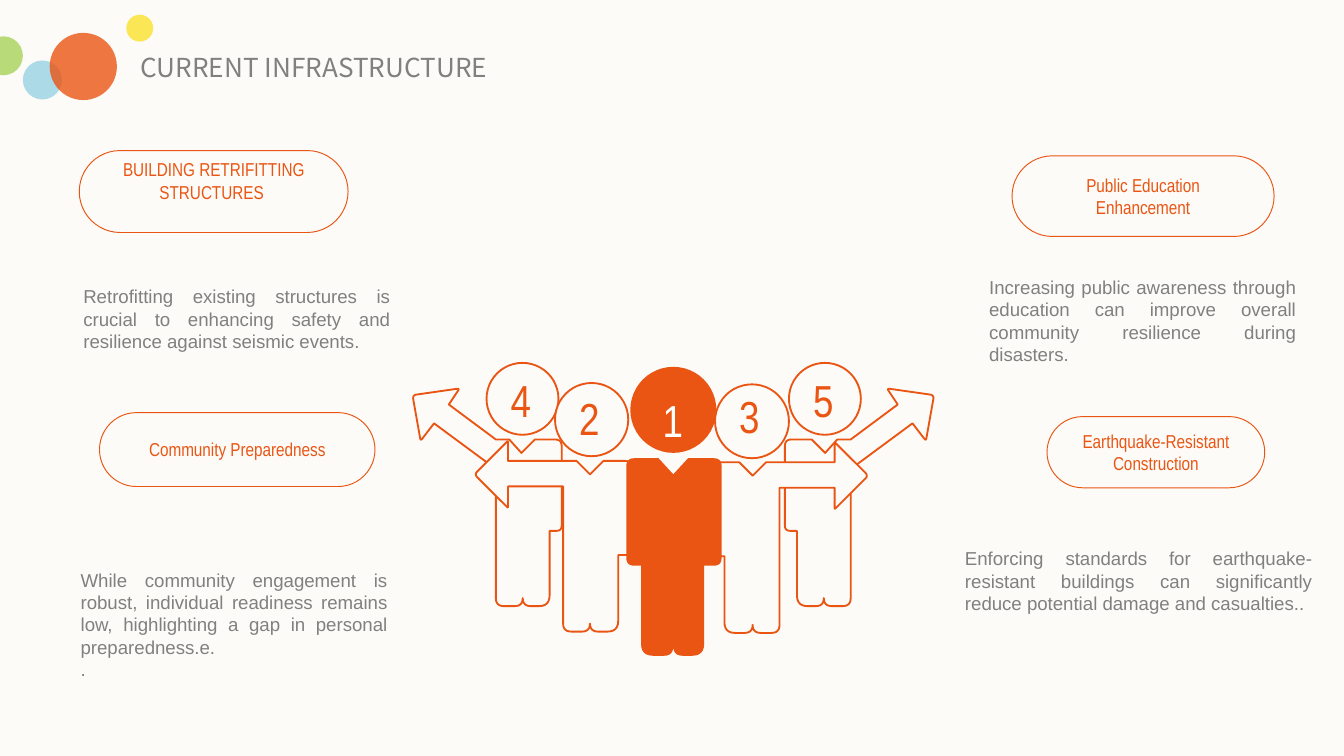
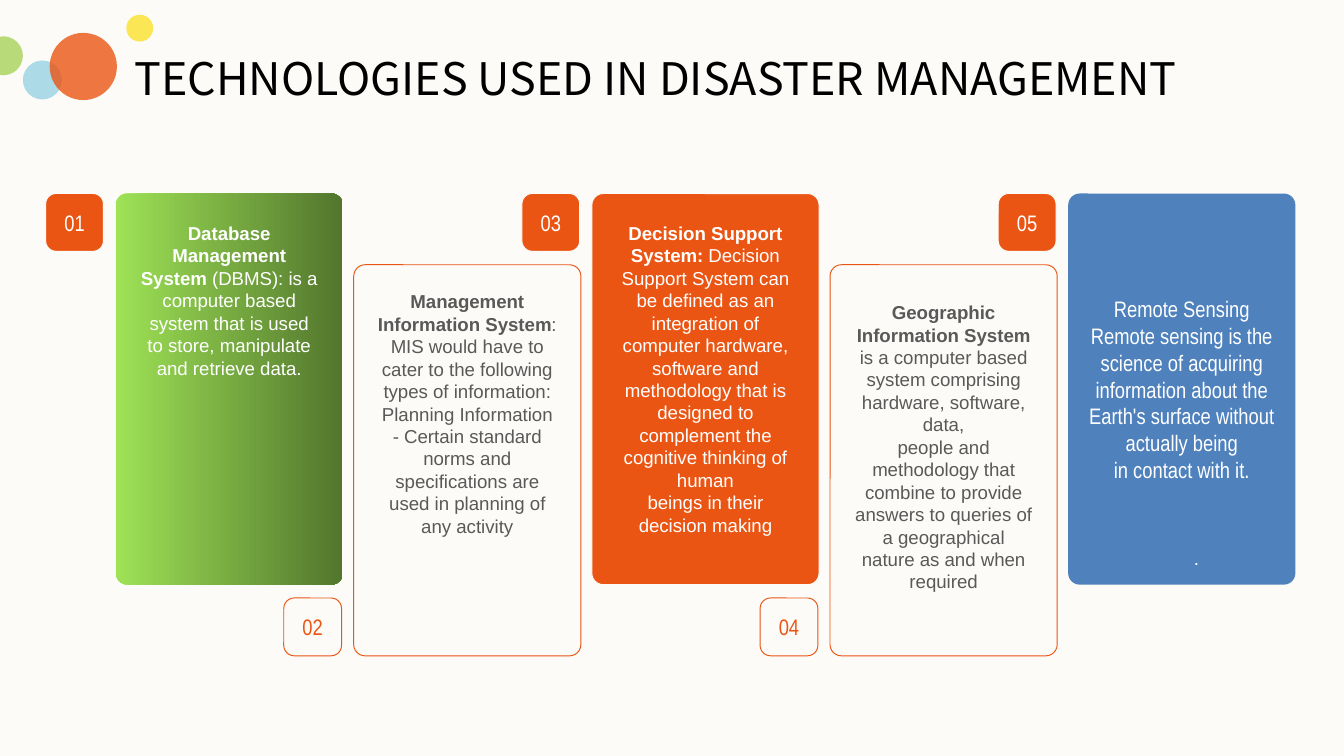
import dataclasses

import lxml.etree
import pptx
import pptx.dml.color
import pptx.enum.shapes
import pptx.enum.text
import pptx.oxml.ns
import pptx.util

RGBColor = pptx.dml.color.RGBColor
SHAPES = pptx.enum.shapes.MSO_SHAPE
ALIGN = pptx.enum.text.PP_ALIGN
ANCHOR = pptx.enum.text.MSO_ANCHOR

PAPER = RGBColor(0xFC, 0xFB, 0xF7)
ORANGE = RGBColor(0xEA, 0x55, 0x14)
YELLOW = RGBColor(0xFB, 0xE2, 0x2D)
LIME = RGBColor(0xA9, 0xD2, 0x5A)
SKY = RGBColor(0x98, 0xD2, 0xE3)
BLUE = RGBColor(0x4F, 0x81, 0xBD)
LEAF = RGBColor(0x9E, 0xE2, 0x56)
MOSS = RGBColor(0x52, 0x76, 0x2D)
GREY = RGBColor(0x80, 0x80, 0x80)
DARK_GREY = RGBColor(0x59, 0x59, 0x59)
WHITE = RGBColor(0xFF, 0xFF, 0xFF)
BLACK = RGBColor(0, 0, 0)

BODY_FONT = "Arial"
LABEL_FONT = "Arial Narrow"
TITLE_FONT = "Noto Sans CJK SC"

# The slide is a grid of square cells, 100 columns by 56.25 rows
COLUMNS, ROWS = 100, 56.25
CELL = pptx.util.Inches(0.1)


def cells(count):
    return pptx.util.Emu(round(count * CELL))


@dataclasses.dataclass
class Box:
    left: float
    top: float
    width: float
    height: float

    def inner(self, left, top, width, height):
        return Box(self.left + left, self.top + top, width, height)

    def lengths(self):
        return [cells(side) for side in (self.left, self.top, self.width, self.height)]


PAGE = Box(0, 0, COLUMNS, ROWS)


# Shared drawing helpers
def paint(shape, fill=None, line=None, weight=0.5):
    shape.shadow.inherit = False
    if fill is None:
        shape.fill.background()
    else:
        shape.fill.solid()
        shape.fill.fore_color.rgb = fill
    if line is None:
        shape.line.fill.background()
    else:
        shape.line.color.rgb = line
        shape.line.width = pptx.util.Pt(weight)


def add_preset(page, kind, box, fill=None, line=None, weight=0.5, corner=None):
    shape = page.shapes.add_shape(kind, *box.lengths())
    if corner is not None:
        shape.adjustments[0] = corner
    paint(shape, fill, line, weight)
    return shape


def write(shape, paragraphs, size, font, color, align=ALIGN.LEFT,
          anchor=ANCHOR.TOP, inset=0, wrap=True):
    """Each paragraph is a list of (text, bold) spans."""
    frame = shape.text_frame
    frame.word_wrap = wrap
    frame.vertical_anchor = anchor
    frame.margin_left = frame.margin_right = cells(inset)
    frame.margin_top = frame.margin_bottom = cells(inset / 2)
    for index, spans in enumerate(paragraphs):
        para = frame.add_paragraph() if index else frame.paragraphs[0]
        para.alignment = align
        for text, bold in spans:
            span = para.add_run()
            span.text = text
            span.font.name = font
            span.font.size = pptx.util.Pt(size)
            span.font.bold = bold
            span.font.color.rgb = color


def plain(*lines):
    return [[(line, False)] for line in lines]


def add_text(page, box, paragraphs, *style, **options):
    write(page.shapes.add_textbox(*box.lengths()), paragraphs, *style, **options)


def add_label(shape, lines, size, color):
    write(shape, plain(*lines), size, LABEL_FONT, color,
          ALIGN.CENTER, ANCHOR.MIDDLE, inset=1)


# Page base: background, corner bubbles, title
BUBBLES = [
    (9.4, 1.1, 2, YELLOW),
    (-1.2, 2.7, 2.9, LIME),
    (1.7, 4.5, 2.9, SKY),
    (3.7, 2.45, 5, ORANGE),
]


def add_page(deck):
    page = deck.slides.add_slide(deck.slide_layouts[6])
    page.background.fill.solid()
    page.background.fill.fore_color.rgb = PAPER
    return page


def add_header(page, box, title, size, color, indent=0.0):
    for left, top, size_cells, shade in BUBBLES:
        bubble = add_preset(page, SHAPES.OVAL,
                            box.inner(left, top, size_cells, size_cells), shade)
        tint = bubble.fill._xPr.find(".//" + pptx.oxml.ns.qn("a:srgbClr"))
        lxml.etree.SubElement(tint, pptx.oxml.ns.qn("a:alpha"), val="80000")
    add_text(page, box.inner(10 + indent, 3.8, 85.8, 4), plain(title),
             size, TITLE_FONT, color)


# Team figures: outline corners as (column, row, rounding)
OUTER_BODY = [
    (0, 0.5, 0.3), (3.5, 0, 0.2), (2.7, 1.2, 0), (6.2, 3.8, 0), (7.2, 3.8, 0),
    (8.1, 4.8, 0), (9.1, 3.8, 0), (11.1, 3.8, 0.5), (11.1, 10.6, 0.4),
    (10.2, 10.6, 0), (10.2, 16.2, 0.8), (8.2, 16.2, 0.6), (8.2, 15.6, 0),
    (8.2, 16.2, 0.6), (6.2, 16.2, 0.6), (6.2, 6, 0), (1.6, 2.6, 0), (0.6, 3.9, 0.2),
]
INNER_BODY = [
    (0, 2.5, 0.3), (2.5, 0, 0.1), (2.5, 1.5, 0), (7.6, 1.5, 0), (8.6, 2.5, 0),
    (9.6, 1.5, 0), (11.7, 1.5, 0.5), (11.7, 8.5, 0.4), (10.7, 8.5, 0),
    (10.7, 14.2, 0.8), (8.6, 14.2, 0.6), (8.6, 13.6, 0), (8.6, 14.2, 0.6),
    (6.6, 14.2, 0.6), (6.6, 3.4, 0), (2.5, 3.4, 0), (2.5, 5, 0.1),
]
LEADER_BODY = [
    (3.5, 1.2, 0), (4.6, 0, 0), (7.1, 0, 0.6), (7.1, 8, 0.6), (5.8, 8, 0),
    (5.8, 14.7, 0.9), (3.5, 14.7, 0.7), (3.5, 13.7, 0), (3.5, 14.7, 0.7),
    (1.1, 14.7, 0.9), (1.1, 8, 0), (0, 8, 0.6), (0, 0, 0.6), (2.4, 0, 0),
]


def toward(start, goal, distance):
    dx, dy = goal[0] - start[0], goal[1] - start[1]
    share = distance / (dx * dx + dy * dy) ** 0.5
    return start[0] + dx * share, start[1] + dy * share


def rounded_outline(corners, steps=6):
    points = []
    for index, corner in enumerate(corners):
        if not corner[2]:
            points.append(corner[:2])
            continue
        enter = toward(corner, corners[index - 1], corner[2])
        leave = toward(corner, corners[(index + 1) % len(corners)], corner[2])
        for step in range(steps + 1):
            t = step / steps
            points.append(tuple((1 - t) ** 2 * enter[axis] + 2 * t * (1 - t) * corner[axis]
                                + t * t * leave[axis] for axis in (0, 1)))
    return points


def add_body(page, box, corners, mirrored, fill, line):
    points = [(cells(box.left + (box.width - x if mirrored else x)), cells(box.top + y))
              for x, y in rounded_outline(corners)]
    builder = page.shapes.build_freeform(*points[0])
    builder.add_line_segments(points[1:], close=True)
    paint(builder.convert_to_shape(), fill, line, 1)


def add_team(page, box):
    # body corners, body left and top, mirrored, head left, top and size, fill, line
    members = [
        (OUTER_BODY, 27.7, 1.9, True, 28, 0, 5.35, PAPER, ORANGE),
        (OUTER_BODY, 0, 1.9, False, 5.5, 0, 5.35, PAPER, ORANGE),
        (INNER_BODY, 4.6, 5.8, False, 10.6, 1.5, 5.45, PAPER, ORANGE),
        (INNER_BODY, 22.2, 5.9, True, 22.5, 1.6, 5.5, PAPER, ORANGE),
        (LEADER_BODY, 15.9, 7.1, False, 16.2, 0.3, 6.4, ORANGE, None),
    ]
    for corners, left, top, mirrored, head_left, head_top, head, fill, line in members:
        width = max(corner[0] for corner in corners)
        head_box = box.inner(head_left, head_top, head, head)
        body_box = box.inner(left, top, width, 0)
        if corners is OUTER_BODY:
            add_body(page, body_box, corners, mirrored, fill, line)
            add_preset(page, SHAPES.OVAL, head_box, fill, line, 1)
        else:
            add_preset(page, SHAPES.OVAL, head_box, fill, line, 1)
            add_body(page, body_box, corners, mirrored, fill, line)
    numbers = [("1", 18.6, 2.2, WHITE), ("2", 12.4, 2.1, ORANGE), ("4", 7.3, 0.7, ORANGE),
               ("5", 29.8, 0.7, ORANGE), ("3", 24.3, 1.9, ORANGE)]
    for number, left, top, color in numbers:
        add_text(page, box.inner(left, top, 1.7, 4), plain(number), 24, LABEL_FONT, color,
                 wrap=False)


# Topics: a pill label with a justified note
TOPICS = [
    (Box(5.9, 11.2, 20, 6.1), "BUILDING RETRIFITTING STRUCTURES ", Box(6.2, 21.2, 22.8, 6.5),
     ["Retrofitting existing structures is crucial to enhancing safety and resilience "
      "against seismic events."], 1.6),
    (Box(7.4, 30.7, 20.5, 5.5), "Community Preparedness", Box(6, 42.3, 22.8, 8.4),
     ["While community engagement is robust, individual readiness remains low, "
      "highlighting a gap in personal preparedness.e.", "."], 0),
    (Box(75.3, 11.6, 19.5, 6), "Public Education Enhancement", Box(73.6, 20.5, 22.8, 6.7),
     ["Increasing public awareness through education can improve overall community "
      "resilience during disasters."], 0),
    (Box(77.9, 31, 16.2, 5.3), "Earthquake-Resistant Construction", Box(71.8, 40.7, 25.8, 8.7),
     ["Enforcing standards for earthquake-resistant buildings can significantly reduce "
      "potential damage and casualties.."], 0),
]


def add_topic(page, pill_box, label, note_box, note, lift):
    pill = add_preset(page, SHAPES.ROUNDED_RECTANGLE, pill_box, PAPER, ORANGE, corner=0.5)
    add_label(pill, [label], 10, ORANGE)
    frame = pill.text_frame
    frame.margin_left = frame.margin_right = cells(1.2)
    frame.margin_bottom = cells(0.5 + lift)
    add_text(page, note_box, plain(*note), 10, BODY_FONT, GREY, ALIGN.JUSTIFY)


# Cards: bold lead, rest of first paragraph, further paragraphs, text offset
CARDS = [
    ("Database Management System",
     " (DBMS): is a computer based system that is used to store, manipulate",
     ["and retrieve data."], 2.1),
    ("Management Information System",
     ": MIS would have to cater to the following types of information:",
     ["Planning Information - Certain standard norms and specifications are used in "
      "planning of any activity"], 1.9),
    ("Decision Support System:", " Decision Support System can be defined as an integration of",
     ["computer hardware, software and methodology that is designed to complement the "
      "cognitive thinking of human", "beings in their decision making"], 2.1),
    ("Geographic Information System",
     " is a computer based system comprising hardware, software, data,",
     ["people and methodology that combine to provide answers to queries of a "
      "geographical nature as and when", "required"], 2.7),
]
REMOTE_SENSING = [
    "Remote Sensing",
    "Remote sensing is the science of acquiring information about the Earth's surface "
    "without actually being",
    "in contact with it.",
]
CARD_PITCH, CARD_DROP, BADGE = 17.72, 5.3, 4.3


def add_card(page, box, index):
    lowered = index % 2 == 1
    fill, line, ink = (PAPER, ORANGE, ORANGE) if lowered else (ORANGE, PAPER, WHITE)
    last = index == len(CARDS)
    card = add_preset(page, SHAPES.ROUNDED_RECTANGLE, box, BLUE if last else fill,
                      None if index == 0 or last else line, corner=0.05)
    if index == 0:
        card.fill.gradient()
        card.fill.gradient_angle = 0
        for stop, color in zip(card.fill.gradient_stops, (LEAF, MOSS)):
            stop.color.rgb = color
    if last:
        add_label(card, REMOTE_SENSING, 12, WHITE)
        dot = add_preset(page, SHAPES.RECTANGLE, box.inner(2.9, 26.3, 13.3, 1.7),
                         None, BLUE, 2)
        write(dot, plain("."), 10, BODY_FONT, WHITE, ALIGN.CENTER)
    else:
        lead, rest, further, offset = CARDS[index]
        add_text(page, box.inner(1.8, offset, 13.3, box.height - 2 * offset),
                 [[(lead, True), (rest, False)]] + plain(*further), 10, BODY_FONT,
                 DARK_GREY if lowered else WHITE, ALIGN.CENTER)
    # Number beside the card, at its foot when the card is lowered
    badge_top = box.height - BADGE if lowered else 0
    badge = add_preset(page, SHAPES.ROUNDED_RECTANGLE,
                       box.inner(-5.2, badge_top, BADGE, BADGE), fill, line, corner=0.18)
    add_label(badge, [f"{index + 1:02d}"], 12, ink)


def build_infrastructure(deck):
    page = add_page(deck)
    add_team(page, Box(30.7, 27, 38.8, 21.8))
    for topic in TOPICS:
        add_topic(page, *topic)
    add_header(page, PAGE, "CURRENT INFRASTRUCTURE", 14, GREY, indent=0.45)


def build_technologies(deck):
    page = add_page(deck)
    for index in range(len(CARDS) + 1):
        add_card(page, Box(8.6 + index * CARD_PITCH, 14.4 + index % 2 * CARD_DROP, 16.9, 29.1),
                 index)
    add_header(page, PAGE, "TECHNOLOGIES USED IN DISASTER MANAGEMENT", 24, BLACK)


def main():
    deck = pptx.Presentation()
    deck.slide_width, deck.slide_height = cells(COLUMNS), cells(ROWS)
    build_infrastructure(deck)
    build_technologies(deck)
    deck.save("out.pptx")


if __name__ == "__main__":
    main()
